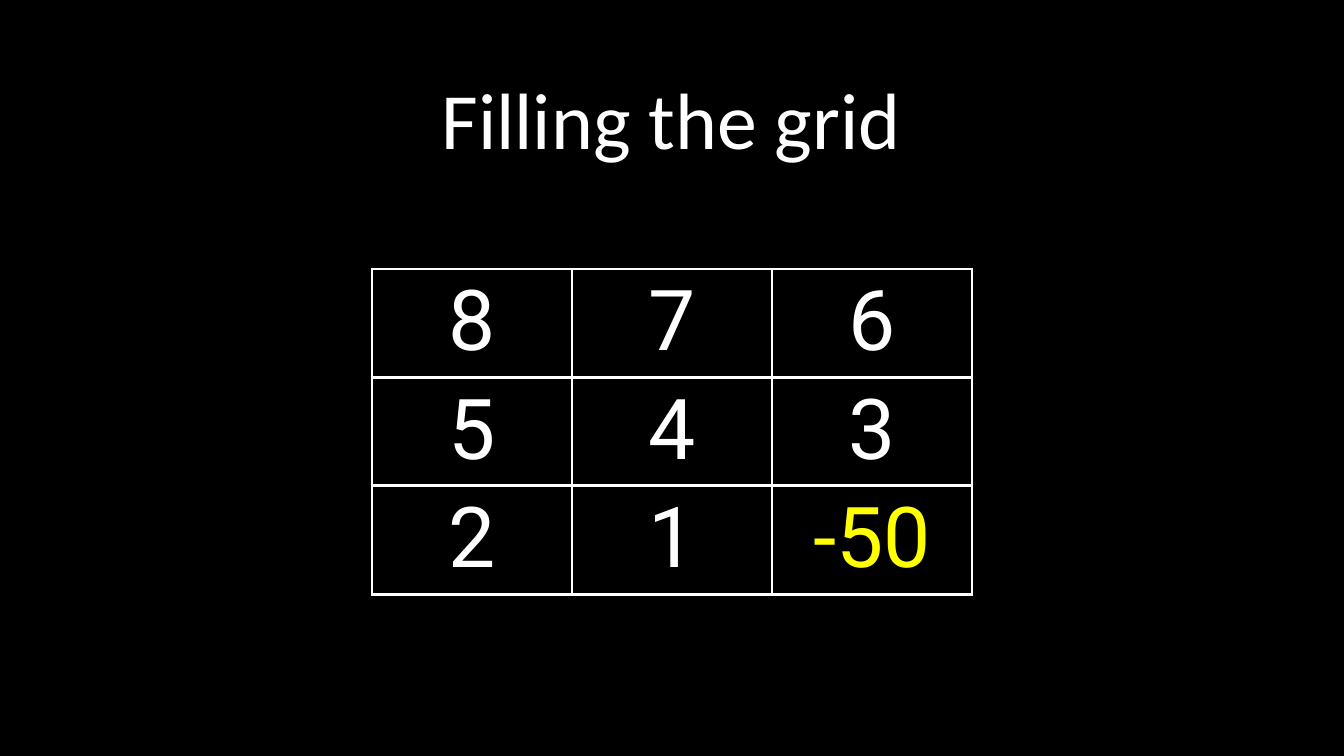
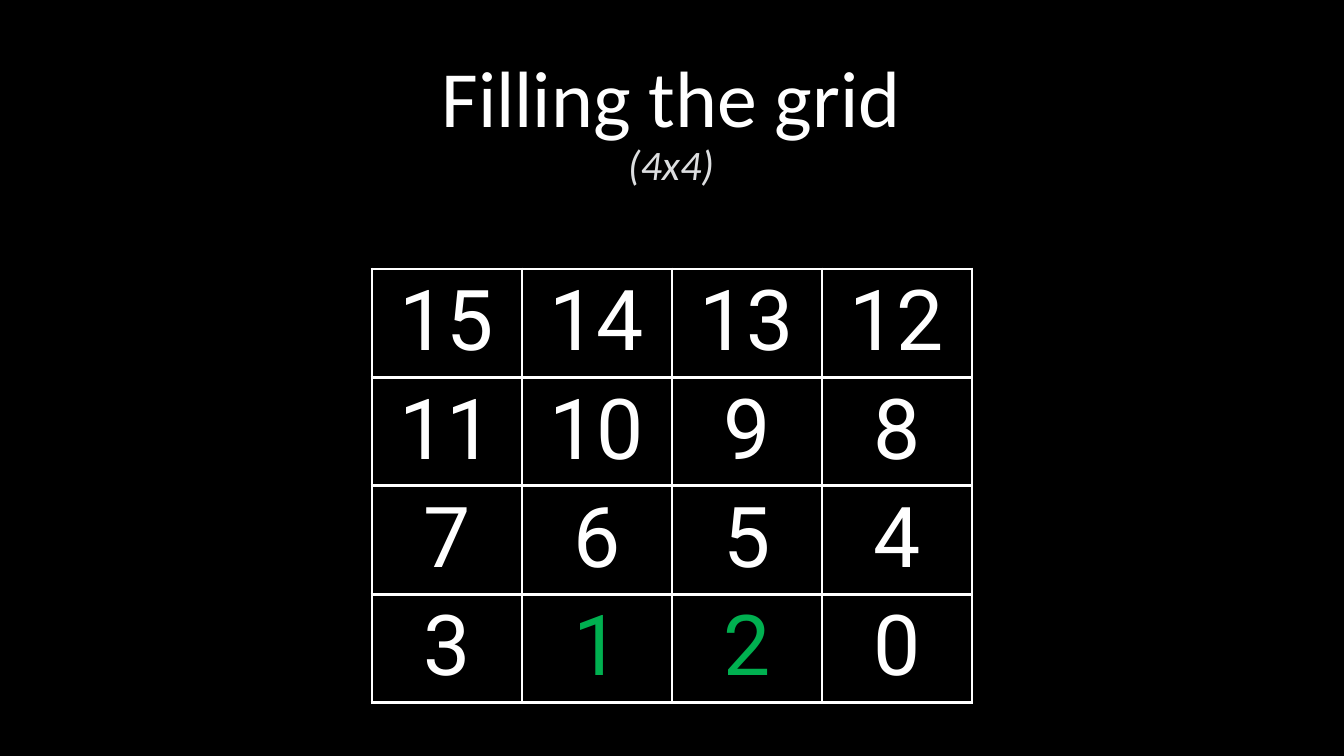
from dataclasses import dataclass

from lxml import etree
from pptx import Presentation
from pptx import util as u
from pptx.dml.color import RGBColor
from pptx.enum import text
from pptx.oxml import ns

PIXEL = u.Inches(1) / 75.6


@dataclass(frozen=True)
class Theme:
    background: str = "000000"
    ink: str = "FFFFFF"
    muted: str = "DCDEE0"
    yellow: str = "FFFF00"
    green: str = "00B050"
    title_font: str = "Calibri"
    grid_font: str = "Roboto"
    title_size: int = 76
    subtitle_size: int = 40
    number_size: int = 80
    border: int = 3


THEME = Theme()
SLIDE_SIZE = (1344, 756)
TITLE_BOX = (95, 39, 1152, 170)
GRID_BOX = (372, 269, 600)  # left, top, width
ROW_HEIGHT = 106


def px(length):
    return u.Emu(round(length * PIXEL))


def style(font, face, size, color):
    font.name = face
    font.size = u.Pt(size)
    font.color.rgb = RGBColor.from_string(color)


def add_title(slide, box, title, subtitle=None):
    """Centred title, with an optional italic second line."""
    heading = slide.shapes.add_textbox(*map(px, box))
    frame = heading.text_frame
    frame.word_wrap = True
    frame.vertical_anchor = text.MSO_ANCHOR.MIDDLE
    frame.margin_left = frame.margin_right = px(3)
    frame.margin_top = frame.margin_bottom = px(3)
    line = frame.paragraphs[0]
    line.alignment = text.PP_ALIGN.CENTER
    line.line_spacing = 0.9
    style(line.font, THEME.title_font, THEME.title_size, THEME.ink)
    line.add_run().text = title
    if subtitle:
        line.add_line_break()
        size_note = line.add_run()
        size_note.text = subtitle
        style(size_note.font, THEME.title_font, THEME.subtitle_size, THEME.muted)
        size_note.font.italic = True


def add_borders(cell):
    """Solid lines on all four sides; they must precede the cell fill."""
    properties = cell._tc.get_or_add_tcPr()
    for index, side in enumerate(("lnL", "lnR", "lnT", "lnB")):
        edge = etree.Element(ns.qn(f"a:{side}"), w=str(u.Pt(THEME.border)))
        fill = etree.SubElement(edge, ns.qn("a:solidFill"))
        etree.SubElement(fill, ns.qn("a:srgbClr"), val=THEME.ink)
        properties.insert(index, edge)


def add_grid(slide, box, numbers, highlights):
    """Number grid with equal cells; highlights maps a number to its colour."""
    left, top, width = box
    row_count, column_count = len(numbers), len(numbers[0])
    grid = slide.shapes.add_table(
        row_count, column_count,
        px(left), px(top), px(width), px(ROW_HEIGHT * row_count)).table
    grid.first_row = grid.horz_banding = False
    for column in grid.columns:
        column.width = px(width / column_count)
    for row, row_numbers in zip(grid.rows, numbers):
        row.height = px(ROW_HEIGHT)
        for cell, number in zip(row.cells, row_numbers):
            cell.text = str(number)
            cell.fill.background()
            cell.margin_top = cell.margin_bottom = u.Inches(0.05)
            add_borders(cell)
            line = cell.text_frame.paragraphs[0]
            line.alignment = text.PP_ALIGN.CENTER
            style(line.font, THEME.grid_font, THEME.number_size,
                  highlights.get(number, THEME.ink))


def add_grid_slide(deck, numbers, highlights, subtitle=None):
    slide = deck.slides.add_slide(deck.slide_layouts[6])
    backdrop = slide.background.fill
    backdrop.solid()
    backdrop.fore_color.rgb = RGBColor.from_string(THEME.background)
    add_title(slide, TITLE_BOX, "Filling the grid", subtitle)
    add_grid(slide, GRID_BOX, numbers, highlights)


deck = Presentation()
deck.slide_width, deck.slide_height = map(px, SLIDE_SIZE)

# 3x3 grid
add_grid_slide(deck, [(8, 7, 6), (5, 4, 3), (2, 1, -50)], {-50: THEME.yellow})

# 4x4 grid, with the last pair swapped
add_grid_slide(
    deck,
    [(15, 14, 13, 12), (11, 10, 9, 8), (7, 6, 5, 4), (3, 1, 2, 0)],
    {1: THEME.green, 2: THEME.green},
    subtitle="(4x4)")

deck.save("out.pptx")
